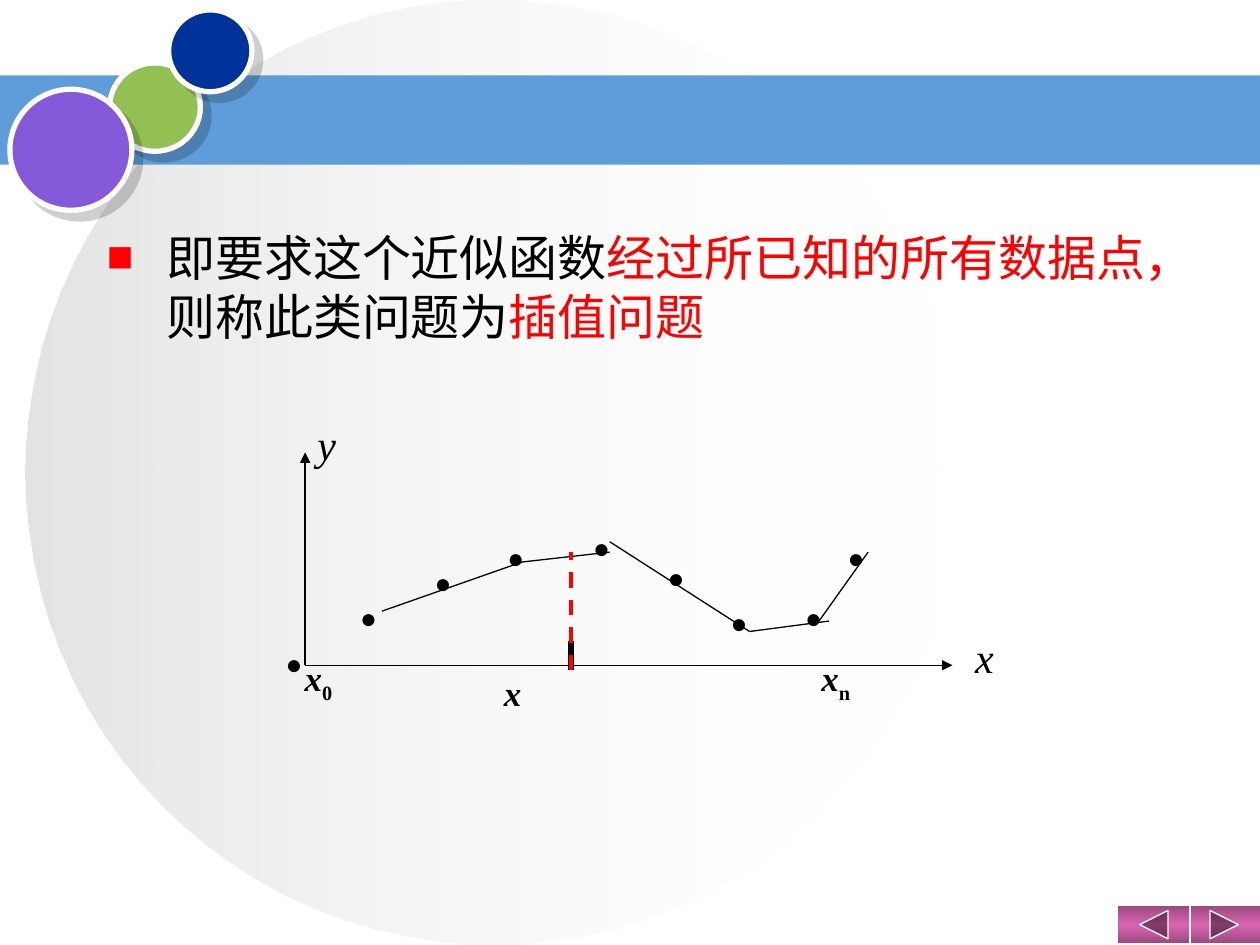
import dataclasses
import itertools

import pptx
import pptx.dml.color
import pptx.enum.dml
import pptx.enum.shapes
import pptx.enum.text
import pptx.oxml.ns
import pptx.oxml.xmlchemy
import pptx.util
from lxml import etree

Cm, Pt = pptx.util.Cm, pptx.util.Pt
qn = pptx.oxml.ns.qn
SHAPES = pptx.enum.shapes.MSO_SHAPE


@dataclasses.dataclass(frozen=True)
class Theme:
    white: str = "FFFFFF"
    black: str = "000000"
    red: str = "FF0000"
    band: str = "5E9CDA"
    green: str = "93C052"
    navy: str = "003399"
    purple: str = "855ADA"
    disc: tuple = ((0, "C0C0C0", 44), (100, "FFFFFF", 0))
    button: tuple = ((0, "9B487F", 100), (50, "D965B2", 100), (100, "9B487F", 100))
    serif: str = "Times New Roman"
    sans: str = "Noto Sans CJK SC"
    body_size: int = 28
    axis_size: int = 24
    label_size: int = 20
    dot_size: int = 16


def rgb(color):
    return pptx.dml.color.RGBColor.from_string(color)


def add_element(parent, tag, **attributes):
    return etree.SubElement(parent, qn(tag), {k: str(v) for k, v in attributes.items()})


class SlideBuilder:
    def __init__(self, slide, theme):
        self.slide = slide
        self.theme = theme

    def shape(self, kind, box, fill, angle=0, outline=None, shadow=False):
        """Add a preset shape; fill is a colour or a tuple of gradient stops."""
        shape = self.slide.shapes.add_shape(kind, *map(Cm, box))
        shape.shadow.inherit = False
        if isinstance(fill, str):
            shape.fill.solid()
            shape.fill.fore_color.rgb = rgb(fill)
        else:
            shape.fill.gradient()
            shape.fill.gradient_angle = angle
            stops = shape._element.spPr.find(qn("a:gradFill")).find(qn("a:gsLst"))
            for stop in list(stops):
                stops.remove(stop)
            for position, color, opacity in fill:
                stop = add_element(stops, "a:gs", pos=position * 1000)
                value = add_element(stop, "a:srgbClr", val=color)
                add_element(value, "a:alpha", val=opacity * 1000)
        if outline:
            shape.line.color.rgb = rgb(self.theme.white)
            shape.line.width = Pt(outline)
        else:
            shape.line.fill.background()
        if shadow:
            effects = shape._element.spPr.find(qn("a:effectLst"))
            outer = add_element(effects, "a:outerShdw", blurRad=0, dist=Pt(7.1),
                                dir=45 * 60000, algn="ctr", rotWithShape=0)
            value = add_element(outer, "a:srgbClr", val=self.theme.black)
            add_element(value, "a:alpha", val=19000)

    def line(self, start, end, color=None, width=0.75, arrow=False, dashed=False):
        connector = self.slide.shapes.add_connector(
            pptx.enum.shapes.MSO_CONNECTOR.STRAIGHT, *map(Cm, start + end))
        connector.line.color.rgb = rgb(color or self.theme.black)
        connector.line.width = Pt(width)
        if dashed:
            connector.line.dash_style = pptx.enum.dml.MSO_LINE.DASH
        properties = connector._element.spPr
        if arrow:
            add_element(properties.find(qn("a:ln")), "a:tailEnd", type="triangle")
        add_element(properties, "a:effectLst")

    def label(self, box, text, size, subscript="", bold=False, italic=True):
        frame = self.slide.shapes.add_textbox(*map(Cm, box)).text_frame
        frame.word_wrap = True
        frame.auto_size = pptx.enum.text.MSO_AUTO_SIZE.SHAPE_TO_FIT_TEXT
        paragraph = frame.paragraphs[0]
        font = paragraph.font
        font.name, font.size, font.bold = self.theme.serif, Pt(size), bold
        font.color.rgb = rgb(self.theme.black)
        run = paragraph.add_run()
        run.text, run.font.italic = text, italic
        if subscript:
            run = paragraph.add_run()
            run.text = subscript
            run._r.get_or_add_rPr().set("baseline", "-25000")

    def body(self, box, pieces):
        """Fill the body placeholder with one bulleted paragraph of coloured runs."""
        theme = self.theme
        shape = self.slide.placeholders[1]
        shape.left, shape.top, shape.width, shape.height = map(Cm, box)
        self.slide.shapes._spTree.append(shape._element)
        frame = shape.text_frame
        frame.auto_size = pptx.enum.text.MSO_AUTO_SIZE.NONE
        paragraph = frame.paragraphs[0]
        properties = paragraph._p.get_or_add_pPr()
        properties.set("marL", str(Cm(1.2)))
        properties.set("indent", str(-Cm(1.2)))
        add_element(add_element(properties, "a:buClr"), "a:srgbClr", val=theme.red)
        add_element(properties, "a:buSzPct", val=90000)
        add_element(properties, "a:buChar", char="■")
        paragraph.space_before = Pt(0)
        paragraph.line_spacing = Pt(33.7)
        paragraph.font.name, paragraph.font.size = theme.sans, Pt(theme.body_size)
        for text, color in pieces:
            run = paragraph.add_run()
            run.text = text
            run.font.color.rgb = rgb(color)
            add_element(run._r.get_or_add_rPr(), "a:ea", typeface=theme.sans)


def main():
    theme = Theme()
    presentation = pptx.Presentation()
    presentation.slide_width, presentation.slide_height = Cm(25.4), Cm(19.05)
    slide = presentation.slides.add_slide(presentation.slide_layouts[1])
    title = slide.shapes.title._element
    title.getparent().remove(title)
    builder = SlideBuilder(slide, theme)

    # Background disc, band and circles
    builder.shape(SHAPES.OVAL, (0.51, 0, 18.9, 19.05), theme.disc)
    builder.shape(SHAPES.RECTANGLE, (0, 1.52, 25.4, 1.8), theme.band)
    for box, color in (((2.21, 1.27, 1.83, 1.78), theme.green),
                       ((3.4, 0.2, 1.68, 1.65), theme.navy),
                       ((0.2, 1.8, 2.46, 2.44), theme.purple)):
        builder.shape(SHAPES.OVAL, box, color, outline=3, shadow=True)

    # Navigation buttons
    for kind, left in ((SHAPES.ACTION_BUTTON_FORWARD_OR_NEXT, 23.95),
                       (SHAPES.ACTION_BUTTON_BACK_OR_PREVIOUS, 22.53)):
        builder.shape(kind, (left, 18.26, 1.46, 0.76), theme.button, 90, outline=0.75)

    # Data points
    for left, top in ((7.01, 11.99), (8.51, 11.28), (9.98, 10.77), (11.71, 10.57),
                      (13.21, 11.18), (14.48, 12.09), (15.98, 11.99),
                      (16.84, 10.77), (5.51, 12.9)):
        builder.label((left, top, 1.7, 0.94), "●", theme.dot_size, italic=False)

    # Axes and their labels
    origin = (6.15, 13.41)
    for end in ((19.2, 13.41), (6.15, 9.12)):
        builder.line(origin, end, arrow=True)
    for name, left, top in (("x", 19.41, 12.6), ("y", 6.15, 8.31)):
        builder.label((left, top, 1.5, 1.27), name, theme.axis_size)
    for subscript, left, top in (("0", 5.89, 13.11), ("n", 16.31, 13.11), ("", 9.91, 13.41)):
        builder.label((left, top, 3.2, 1.09), "x", theme.label_size, subscript, bold=True)

    # Interpolating segments
    for points in (((7.7, 12.32), (10.52, 11.33), (12.29, 11.13)),
                   ((12.29, 10.92), (15.11, 12.73), (16.71, 12.52)),
                   ((16.51, 12.52), (17.5, 11.13))):
        for start, end in itertools.pairwise(points):
            builder.line(start, end)

    # Marker at the evaluated x
    marker = (11.51, 13.51)
    builder.line(marker, (11.51, 12.93), width=3)
    builder.line(marker, (11.51, 11.13), theme.red, 2.25, dashed=True)

    # Statement
    builder.body((1.9, 4.45, 22.86, 12.57), (
        ("即要求这个近似函数", theme.black), ("经过所已知的所有数据点，", theme.red),
        ("则称此类问题为", theme.black), ("插值问题", theme.red)))

    presentation.save("out.pptx")


if __name__ == "__main__":
    main()
